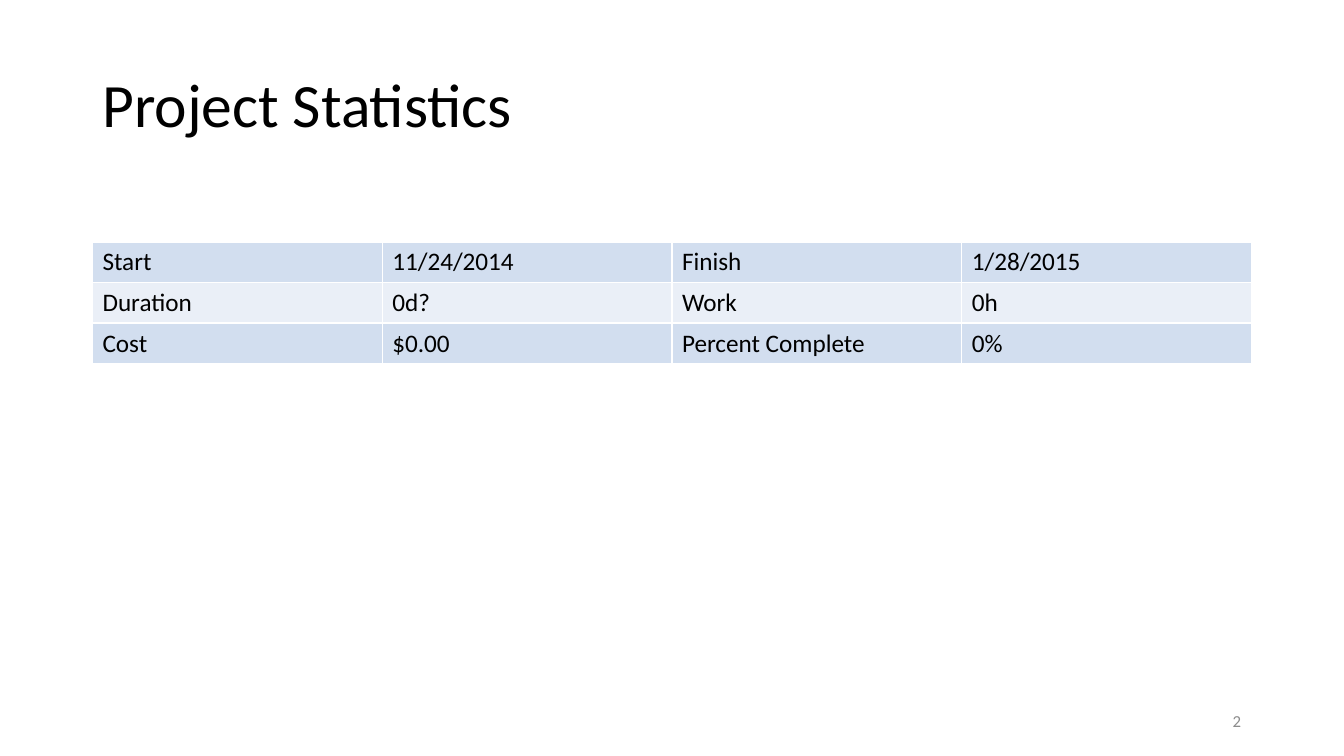
from lxml import etree
from pptx import Presentation
from pptx.dml.color import RGBColor
from pptx.enum.text import MSO_ANCHOR, PP_ALIGN
from pptx.oxml.ns import qn
from pptx.util import Cm, Pt

MIDDLE = MSO_ANCHOR.MIDDLE
LEFT, RIGHT = PP_ALIGN.LEFT, PP_ALIGN.RIGHT

COLORS = {
    "text": "000000",
    "number": "8C8C8C",
    "border": "FFFFFF",
    "band_dark": "D2DEEF",
    "band_light": "EAEFF7",
}

# The header row of the table is empty
STATISTICS = [
    ["", "", "", ""],
    ["Start", "11/24/2014", "Finish", "1/28/2015"],
    ["Duration", "0d?", "Work", "0h"],
    ["Cost", "$0.00", "Percent Complete", "0%"],
]


class SlideBuilder:
    font_name = "Calibri"

    def __init__(self, slide):
        self.slide = slide

    def add_run(self, paragraph, text, size, color):
        run = paragraph.add_run()
        run.text = text
        run.font.name = self.font_name
        run.font.size = Pt(size)
        run.font.color.rgb = RGBColor.from_string(COLORS[color])

    def text(self, text, left, top, width, height, size, color, align=LEFT):
        box = self.slide.shapes.add_textbox(Cm(left), Cm(top), Cm(width), Cm(height))
        frame = box.text_frame
        frame.word_wrap = True
        frame.vertical_anchor = MIDDLE
        paragraph = frame.paragraphs[0]
        paragraph.alignment = align
        self.add_run(paragraph, text, size, color)

    def borders(self, cell, widths):
        properties = cell._tc.get_or_add_tcPr()
        for side, width in widths.items():
            line = etree.SubElement(properties, qn(f"a:ln{side}"), w=str(Pt(width)))
            fill = etree.SubElement(line, qn("a:solidFill"))
            etree.SubElement(fill, qn("a:srgbClr"), val=COLORS["border"])

    def table(self, rows, left, top, width, row_height, size):
        frame = self.slide.shapes.add_table(
            len(rows), len(rows[0]), Cm(left), Cm(top),
            Cm(width), Cm(row_height * len(rows)))
        table = frame.table
        table.first_row = False
        table.horz_banding = False
        for row_index, row in enumerate(rows):
            table.rows[row_index].height = Cm(row_height)
            # A thick rule separates the header from the body
            widths = {"L": 1, "R": 1,
                      "T": 3 if row_index == 1 else 1,
                      "B": 3 if row_index == 0 else 1}
            band = "band_dark" if row_index % 2 else "band_light"
            for column_index, text in enumerate(row):
                cell = table.cell(row_index, column_index)
                self.borders(cell, widths)
                if not text:
                    cell.fill.background()
                    continue
                cell.fill.solid()
                cell.fill.fore_color.rgb = RGBColor.from_string(COLORS[band])
                self.add_run(cell.text_frame.paragraphs[0], text, size, "text")


def main():
    presentation = Presentation()
    presentation.slide_width = Cm(33.87)
    presentation.slide_height = Cm(19.05)
    slide = presentation.slides.add_slide(presentation.slide_layouts[6])
    builder = SlideBuilder(slide)

    # Title
    builder.text("Project Statistics", 2.33, 0.76, 29.21, 3.68, 44, "text")

    # Slide number
    builder.text("2", 22.43, 17.65, 9.1, 1.02, 12, "number", RIGHT)

    # Statistics table
    builder.table(STATISTICS, 2.33, 5.05, 29.21, 1.03, 18)

    presentation.save("out.pptx")


if __name__ == "__main__":
    main()
